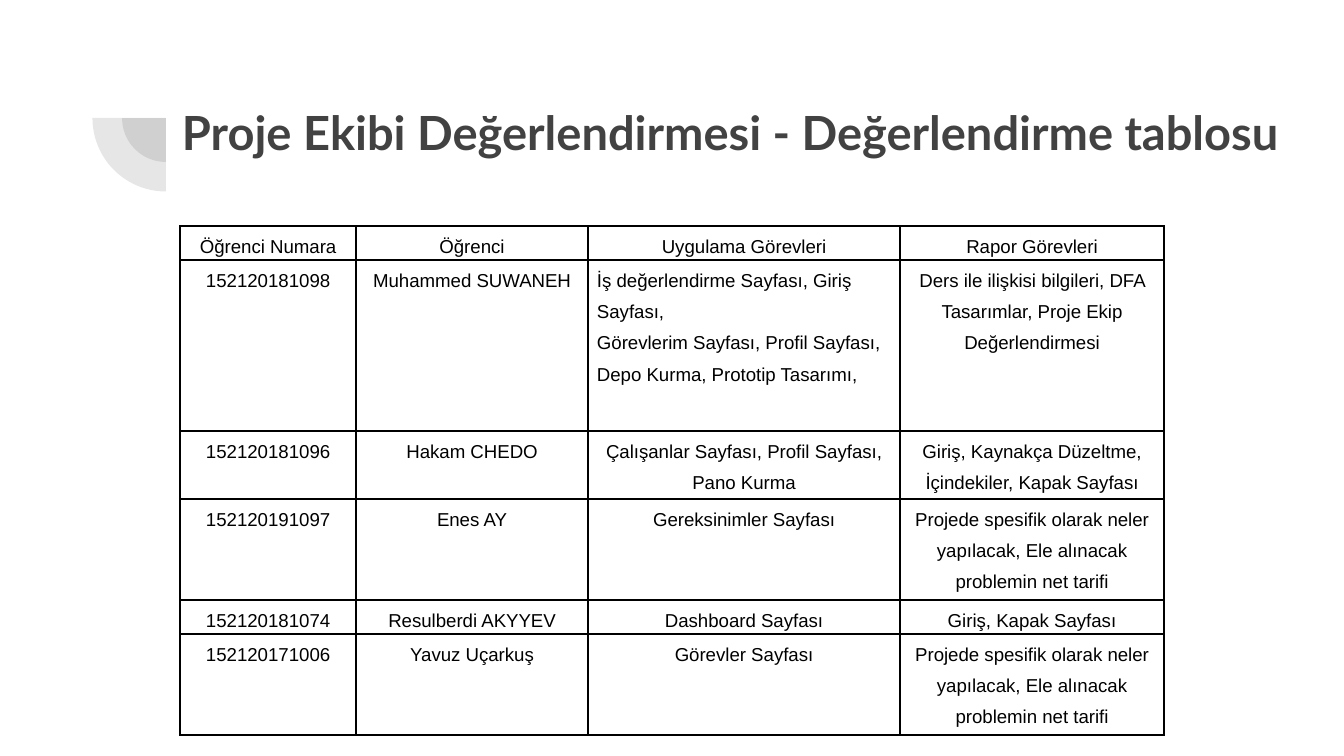
from dataclasses import dataclass

from lxml import etree
from pptx import Presentation
from pptx import util as u
from pptx.dml.color import RGBColor
from pptx.enum import shapes, text
from pptx.oxml import ns

# Content
TITLE = "Proje Ekibi Değerlendirmesi - Değerlendirme tablosu"
PROBLEM_TASK = "Projede spesifik olarak neler yapılacak, Ele alınacak problemin net tarifi"
ROWS = [
    ("Öğrenci Numara", "Öğrenci", "Uygulama Görevleri", "Rapor Görevleri"),
    ("152120181098", "Muhammed SUWANEH",
     ["İş değerlendirme Sayfası, Giriş Sayfası,",
      "Görevlerim Sayfası, Profil Sayfası, Depo Kurma, Prototip Tasarımı,"],
     "Ders ile ilişkisi bilgileri, DFA Tasarımlar, Proje Ekip Değerlendirmesi"),
    ("152120181096", "Hakam CHEDO", "Çalışanlar Sayfası, Profil Sayfası, Pano Kurma",
     "Giriş, Kaynakça Düzeltme, İçindekiler, Kapak Sayfası"),
    ("152120191097", "Enes AY", "Gereksinimler Sayfası", PROBLEM_TASK),
    ("152120181074", "Resulberdi AKYYEV", "Dashboard Sayfası", "Giriş, Kapak Sayfası"),
    ("152120171006", "Yavuz Uçarkuş", "Görevler Sayfası", PROBLEM_TASK),
]

# Layout in px
SLIDE_SIZE = (1344, 756)
TITLE_BOX = (169, 87, 1175, 89)
TITLE_INSET = 13
PIE_CENTER = (166, 118)
PIE_DIAMETERS = (88, 147)
TABLE_ORIGIN = (180, 226)
COLUMN_WIDTHS = (176, 232, 312, 264)
ROW_HEIGHTS = (34, 171, 68, 101, 34, 101)
CELL_INSET = 9


@dataclass(frozen=True)
class Theme:
    ink: str = "424242"
    table_ink: str = "000000"
    pie_alpha: int = 13
    title_font: str = "Lato"
    title_size: float = 25.2
    table_font: str = "Arial"
    table_size: int = 10
    border_width: int = 1


THEME = Theme()


def px(value):
    return u.Emu(round(value * 914400 / 134.4))


def write(frame, paragraphs, *, font, size, color, bold=False, align=text.PP_ALIGN.LEFT, spacing=None):
    frame.word_wrap = True
    for index, line in enumerate(paragraphs):
        paragraph = frame.paragraphs[0] if index == 0 else frame.add_paragraph()
        paragraph.alignment = align
        paragraph.line_spacing = spacing
        run = paragraph.add_run()
        run.text = line
        run.font.name = font
        run.font.size = u.Pt(size)
        run.font.bold = bold
        run.font.color.rgb = RGBColor.from_string(color)


def add_quarter(slide, diameter):
    left, top = (center - diameter / 2 for center in PIE_CENTER)
    shape = slide.shapes.add_shape(shapes.MSO_SHAPE.PIE, px(left), px(top), px(diameter), px(diameter))
    shape.adjustments[0] = 108  # 180 degrees
    shape.adjustments[1] = 162  # 270 degrees
    shape.rotation = 270
    shape.shadow.inherit = False
    shape.line.fill.background()
    shape.fill.solid()
    shape.fill.fore_color.rgb = RGBColor.from_string(THEME.ink)
    color = shape.element.spPr.find(ns.qn("a:solidFill"))[0]
    etree.SubElement(color, ns.qn("a:alpha"), val=str(THEME.pie_alpha * 1000))


def set_borders(cell):
    properties = cell._tc.get_or_add_tcPr()
    for index, side in enumerate(("lnL", "lnR", "lnT", "lnB")):
        line = etree.Element(ns.qn(f"a:{side}"), w=str(u.Pt(THEME.border_width)))
        fill = etree.SubElement(line, ns.qn("a:solidFill"))
        etree.SubElement(fill, ns.qn("a:srgbClr"), val=THEME.table_ink)
        properties.insert(index, line)


def add_title(slide):
    frame = slide.shapes.add_textbox(*map(px, TITLE_BOX)).text_frame
    frame.margin_left = frame.margin_right = frame.margin_top = frame.margin_bottom = px(TITLE_INSET)
    frame.vertical_anchor = text.MSO_ANCHOR.MIDDLE
    write(frame, [TITLE], font=THEME.title_font, size=THEME.title_size, color=THEME.ink, bold=True)


def add_task_table(slide):
    table = slide.shapes.add_table(
        len(ROWS), len(COLUMN_WIDTHS), *map(px, TABLE_ORIGIN),
        px(sum(COLUMN_WIDTHS)), px(sum(ROW_HEIGHTS))).table
    table.first_row = table.horz_banding = False
    for column, width in zip(table.columns, COLUMN_WIDTHS):
        column.width = px(width)
    for row, height, values in zip(table.rows, ROW_HEIGHTS, ROWS):
        row.height = px(height)
        for cell, value in zip(row.cells, values):
            cell.margin_left = cell.margin_right = px(CELL_INSET)
            cell.margin_top = cell.margin_bottom = 0
            cell.fill.background()
            set_borders(cell)
            # Lists are left-aligned, single entries are centred
            is_list = isinstance(value, list)
            write(cell.text_frame, value if is_list else [value],
                  font=THEME.table_font, size=THEME.table_size, color=THEME.table_ink, spacing=1.5,
                  align=text.PP_ALIGN.LEFT if is_list else text.PP_ALIGN.CENTER)


def main():
    presentation = Presentation()
    presentation.slide_width, presentation.slide_height = map(px, SLIDE_SIZE)
    slide = presentation.slides.add_slide(presentation.slide_layouts[6])
    for diameter in PIE_DIAMETERS:
        add_quarter(slide, diameter)
    add_title(slide)
    add_task_table(slide)
    presentation.save("out.pptx")


if __name__ == "__main__":
    main()
